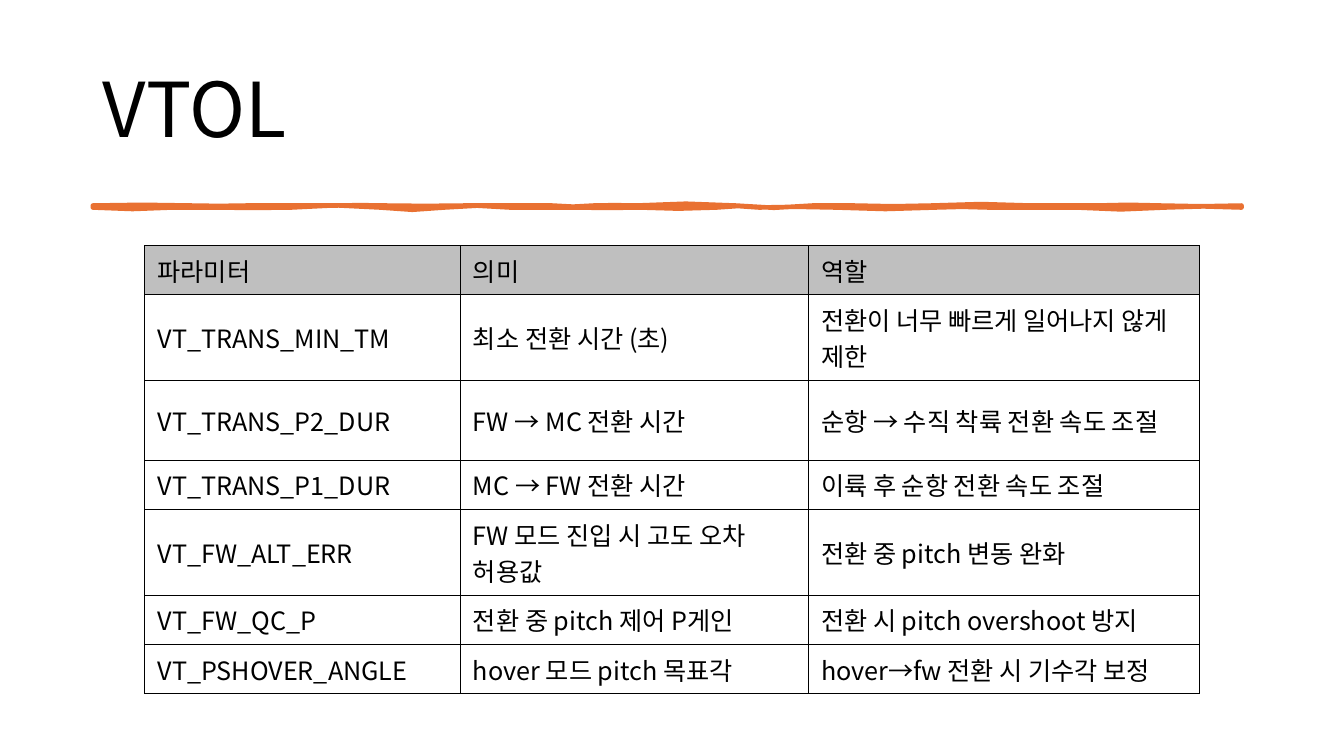
import lxml.etree
import pptx
import pptx.dml.color
import pptx.enum.text
import pptx.oxml.ns
import pptx.util
from pptx.util import Cm

BLACK = pptx.dml.color.RGBColor(0x00, 0x00, 0x00)
ORANGE = pptx.dml.color.RGBColor(0xE9, 0x71, 0x32)
GRAY = pptx.dml.color.RGBColor(0xBF, 0xBF, 0xBF)
qn = pptx.oxml.ns.qn

# Brush stroke edges: knot position in cm and bend at the knot
BEND_UNIT = 0.025
TOP_EDGE = [
    (2.34, 0), (4.83, 2), (6.2, 1), (8.41, 1), (9.75, 2), (11.68, 1),
    (13.92, 1), (14.96, -2), (16.03, -1), (18.54, 4), (20.47, -2),
    (21.54, -2), (23.47, -4), (25.98, 0), (27.61, 0), (29.26, 2), (31.29, 0),
]
BOTTOM_EDGE = [
    (31.29, 0), (29.36, 3), (27.13, -2), (24.92, -2), (23.57, 0), (21.06, -4),
    (19.13, -2), (18.06, 2), (16.13, -1), (14.48, -2), (12.85, -2),
    (11.2, 3), (9.58, -3), (7.34, 3), (5.41, 2), (4.34, 2), (2.34, -2),
]

COLUMN_WIDTHS = [7.95, 8.77, 9.85]
LOW_ROW, HIGH_ROW = 1.24, 2.01
ROWS = [
    (LOW_ROW, "파라미터", "의미", "역할"),
    (HIGH_ROW, "VT_TRANS_MIN_TM", "최소 전환 시간 (초)", "전환이 너무 빠르게 일어나지 않게 제한"),
    (HIGH_ROW, "VT_TRANS_P2_DUR", "FW → MC 전환 시간", "순항 → 수직 착륙 전환 속도 조절"),
    (LOW_ROW, "VT_TRANS_P1_DUR", "MC → FW 전환 시간", "이륙 후 순항 전환 속도 조절"),
    (HIGH_ROW, "VT_FW_ALT_ERR", "FW 모드 진입 시 고도 오차 허용값", "전환 중 pitch 변동 완화"),
    (LOW_ROW, "VT_FW_QC_P", "전환 중 pitch 제어 P게인", "전환 시 pitch overshoot 방지"),
    (LOW_ROW, "VT_PSHOVER_ANGLE", "hover 모드 pitch 목표각", "hover→fw 전환 시 기수각 보정"),
]


def wavy_edge(knots, base, steps=2):
    """Sample a wave that crosses the base line at each knot."""
    points = []
    for (x1, bend1), (x2, bend2) in zip(knots, knots[1:]):
        for step in range(steps):
            t = step / steps
            wave = 3 * t * (1 - t) * ((1 - t) * bend1 - t * bend2)
            points.append((Cm(x1 + t * (x2 - x1)), Cm(base + BEND_UNIT * wave)))
    points.append((Cm(knots[-1][0]), Cm(base)))
    return points


class SlideBuilder:
    font_name = "Noto Sans CJK KR"

    def __init__(self, slide):
        self.slide = slide

    def format_text(self, text_frame, size, kerning_from):
        for paragraph in text_frame.paragraphs:
            paragraph.alignment = pptx.enum.text.PP_ALIGN.LEFT
            for run in paragraph.runs:
                run.font.name = self.font_name
                run.font.size = pptx.util.Pt(size)
                run.font.bold = False
                run.font.color.rgb = BLACK
                # Kerning threshold, and the East Asian font for Korean letters
                properties = run.font._element
                properties.set("kern", str(kerning_from * 100))
                east_asian = lxml.etree.Element(qn("a:ea"), typeface=self.font_name)
                properties.find(qn("a:latin")).addnext(east_asian)

    def title(self, text, left, top, width, height):
        title = self.slide.shapes.title
        title.left, title.top = Cm(left), Cm(top)
        title.width, title.height = Cm(width), Cm(height)
        title.text_frame.text = text
        title.text_frame.vertical_anchor = pptx.enum.text.MSO_ANCHOR.MIDDLE
        title.text_frame.paragraphs[0].line_spacing = 0.9
        self.format_text(title.text_frame, 54, kerning_from=12)

    def brush_stroke(self, top, bottom):
        points = wavy_edge(TOP_EDGE, top) + wavy_edge(BOTTOM_EDGE, bottom)
        builder = self.slide.shapes.build_freeform(*points[0])
        builder.add_line_segments(points[1:], close=True)
        stroke = builder.convert_to_shape()
        stroke.shadow.inherit = False
        stroke.fill.solid()
        stroke.fill.fore_color.rgb = ORANGE
        stroke.line.color.rgb = ORANGE
        stroke.line.width = pptx.util.Pt(3.25)

    def cell_borders(self, cell):
        properties = cell._tc.get_or_add_tcPr()
        for side in ("a:lnL", "a:lnR", "a:lnT", "a:lnB"):
            border = lxml.etree.SubElement(properties, qn(side), w=str(pptx.util.Pt(1)))
            fill = lxml.etree.SubElement(border, qn("a:solidFill"))
            lxml.etree.SubElement(fill, qn("a:srgbClr"), val=str(BLACK))

    def table(self, rows, column_widths, left, top):
        frame = self.slide.shapes.add_table(
            len(rows), len(column_widths), Cm(left), Cm(top),
            Cm(sum(column_widths)), Cm(sum(row[0] for row in rows)))
        table = frame.table
        table.first_row = table.horz_banding = False
        for column, width in zip(table.columns, column_widths):
            column.width = Cm(width)
        for row_index, (height, *texts) in enumerate(rows):
            table.rows[row_index].height = Cm(height)
            for column_index, text in enumerate(texts):
                cell = table.cell(row_index, column_index)
                cell.text_frame.text = text
                cell.vertical_anchor = pptx.enum.text.MSO_ANCHOR.MIDDLE
                cell.margin_left = cell.margin_right = Cm(0.32)
                cell.margin_top = cell.margin_bottom = Cm(0.16)
                self.format_text(cell.text_frame, 18, kerning_from=0)
                self.cell_borders(cell)
                if row_index == 0:
                    cell.fill.solid()
                    cell.fill.fore_color.rgb = GRAY
                else:
                    cell.fill.background()


def main():
    presentation = pptx.Presentation()
    presentation.slide_width, presentation.slide_height = Cm(33.87), Cm(19.05)
    title_only = presentation.slide_layouts[5]
    builder = SlideBuilder(presentation.slides.add_slide(title_only))

    # Heading and its underline
    builder.title("VTOL", 2.34, 1.02, 29.21, 3.68)
    builder.brush_stroke(5.18, 5.23)

    # Parameter table
    builder.table(ROWS, COLUMN_WIDTHS, 3.65, 6.19)

    presentation.save("out.pptx")


if __name__ == "__main__":
    main()
